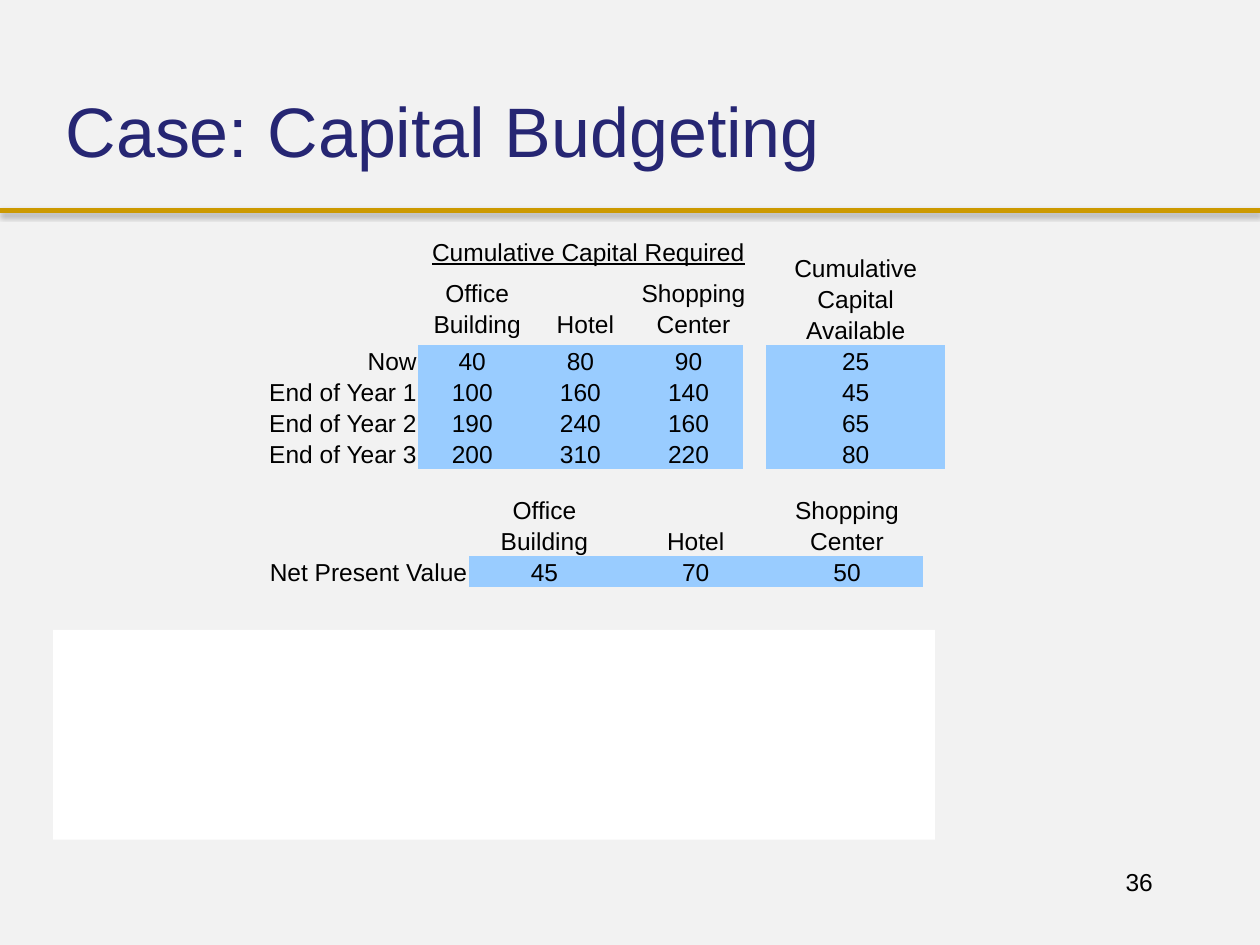
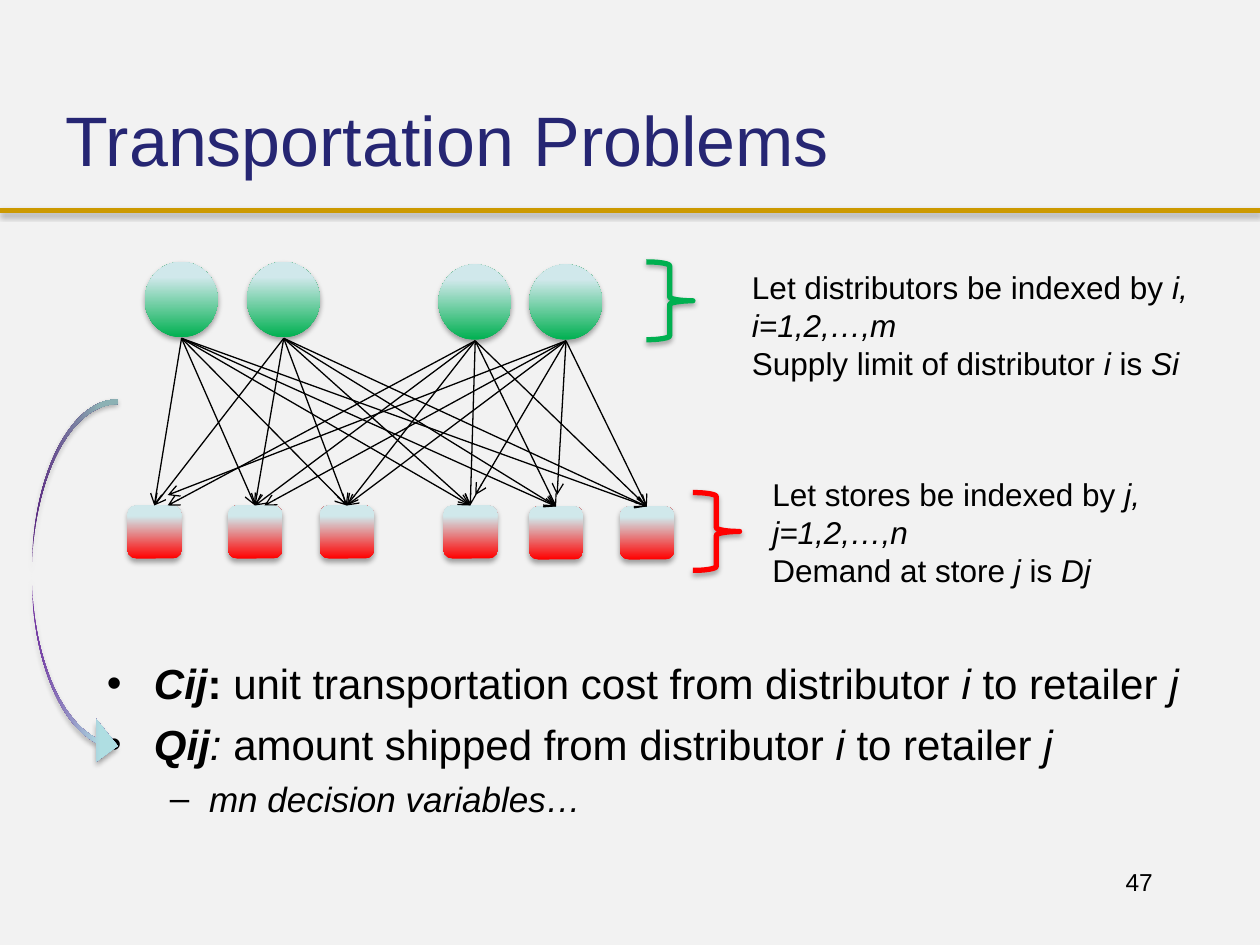
from lxml.etree import SubElement
from pptx import Presentation
from pptx.dml.color import RGBColor
from pptx.enum.shapes import MSO_CONNECTOR, MSO_SHAPE as SHAPE
from pptx.enum.text import MSO_ANCHOR as ANCHOR, PP_ALIGN as ALIGN
from pptx.oxml.ns import qn
from pptx.util import Cm, Pt

FONT = "Arial"
COLORS = {
    "background": "F2F2F2", "title": "262673", "rule": "CC9900",
    "text": "000000", "data": "99CCFF", "panel": "FFFFFF",
    "supply": "00B050", "demand": "FF0000", "flow": "7030A0",
    "pale": "D0E8EB", "palest": "D1EAEC",
    "flow_pale": "AFDEE2", "flow_palest": "AFE0E4",
}
NO_STYLE = "{2D5ABB26-0587-4C30-8999-92F81FD0307C}"


def rgb(name):
    return RGBColor.from_string(COLORS[name])


def box(left, top, width, height):
    return Cm(left), Cm(top), Cm(width), Cm(height)


# Text
def add_run(paragraph, text, size, color="text", style=""):
    """Style letters: b bold, i italic, u underlined."""
    run = paragraph.add_run()
    run.text = text
    font = run.font
    font.name, font.size = FONT, Pt(size)
    font.color.rgb = rgb(color)
    font.bold, font.italic, font.underline = (s in style for s in "biu")


def add_runs(paragraph, runs, size):
    for text, style in runs:
        add_run(paragraph, text, size, style=style)


def add_text(slide, place, lines, size, align=ALIGN.LEFT):
    frame = slide.shapes.add_textbox(*box(*place)).text_frame
    frame.word_wrap = True
    for i, runs in enumerate(lines):
        paragraph = frame.add_paragraph() if i else frame.paragraphs[0]
        paragraph.alignment = align
        add_runs(paragraph, runs, size)


def set_bullet(paragraph, char, indent, hanging):
    props = paragraph._p.get_or_add_pPr()
    props.set("marL", str(Cm(indent)))
    props.set("indent", str(-Cm(hanging)))
    SubElement(props, qn("a:buFont"), typeface=FONT)
    SubElement(props, qn("a:buChar"), char=char)


# Lines and shapes
def add_shadow(effects):
    shadow = SubElement(effects, qn("a:outerShdw"), blurRad=str(Pt(3.1)),
                        dist=str(Pt(1.8)), dir="5400000", rotWithShape="0")
    color = SubElement(shadow, qn("a:srgbClr"), val=COLORS["text"])
    SubElement(color, qn("a:alpha"), val="35000")


def add_line(slide, start, end, color, width):
    line = slide.shapes.add_connector(
        MSO_CONNECTOR.STRAIGHT, *map(Cm, start), *map(Cm, end))
    line.line.color.rgb = rgb(color)
    line.line.width = Pt(width)
    props = line._element.spPr
    return props, SubElement(props, qn("a:effectLst"))


def add_arrow(slide, start, end):
    props, _ = add_line(slide, start, end, "text", 0.75)
    SubElement(props.find(qn("a:ln")), qn("a:tailEnd"), type="arrow")


def add_shape(slide, kind, place, shadow=True):
    shape = slide.shapes.add_shape(kind, *box(*place))
    shape.line.fill.background()
    shape.shadow.inherit = False
    if shadow:
        add_shadow(shape._element.spPr.find(qn("a:effectLst")))
    return shape


def fill_gradient(shape, names, angle=90):
    shape.fill.gradient()
    shape.fill.gradient_angle = angle
    stops = shape._element.spPr.find(".//" + qn("a:gsLst"))
    stops.clear()
    for position, name in zip((0, 80000, 100000), names):
        stop = SubElement(stops, qn("a:gs"), pos=str(position))
        SubElement(stop, qn("a:srgbClr"), val=COLORS[name])


def add_node(slide, kind, place, color):
    fill_gradient(add_shape(slide, kind, place), (color, "pale", "palest"))


def add_brace(slide, left, top, color):
    brace = add_shape(slide, SHAPE.RIGHT_BRACE, (left, top, 0.94, 1.57))
    brace.fill.background()
    brace.line.color.rgb = rgb(color)
    brace.line.width = Pt(3)


# Tables: numbers sit on the data colour, labels on none
def add_table(slide, left, top, widths, row_height, rows):
    place = box(left, top, sum(widths), row_height * len(rows))
    frame = slide.shapes.add_table(len(rows), len(widths), *place)
    table = frame.table
    table.first_row = table.horz_banding = False
    table._tbl.tblPr.find(qn("a:tableStyleId")).text = NO_STYLE
    for column, width in zip(table.columns, widths):
        column.width = Cm(width)
    for r, values in enumerate(rows):
        table.rows[r].height = Cm(row_height)
        for c, value in enumerate(values):
            fill_cell(table.cell(r, c), value, c == 0 and len(values) == 4)


def fill_cell(cell, value, is_row_label):
    cell.margin_left = cell.margin_right = cell.margin_top = Cm(0.03)
    cell.margin_bottom = 0
    cell.vertical_anchor = ANCHOR.BOTTOM
    paragraph = cell.text_frame.paragraphs[0]
    paragraph.alignment = ALIGN.RIGHT if is_row_label else ALIGN.CENTER
    if value == "":
        SubElement(paragraph._p, qn("a:endParaRPr"), sz="1400")
    else:
        add_run(paragraph, str(value), 14)
    if isinstance(value, int):
        cell.fill.solid()
        cell.fill.fore_color.rgb = rgb("data")
    else:
        cell.fill.background()


# Shared frame of each slide: rule, title, number
def start_slide(prs, layout, title, title_top, number):
    slide = prs.slides.add_slide(prs.slide_layouts[layout])
    _, effects = add_line(slide, (0, 4.24), (25.4, 4.24), "rule", 3)
    add_shadow(effects)
    heading = slide.shapes.title
    heading.left, heading.top, heading.width, heading.height = box(
        1.07, title_top, 23.29, 3.18)
    frame = heading.text_frame
    frame.vertical_anchor = ANCHOR.TOP
    frame.margin_top = Cm(0.25)
    frame.paragraphs[0].alignment = ALIGN.LEFT
    add_run(frame.paragraphs[0], title, 40, "title")
    add_text(slide, (18.21, 17.35, 5.28, 1.27), [[(number, "")]], 14, ALIGN.RIGHT)
    return slide


def build_budgeting(prs):
    slide = start_slide(prs, 5, "Case: Capital Budgeting", 1.52, "36")
    projects = [["Office", "", "Shopping"], ["Building", "Hotel", "Center"]]

    # Capital required
    add_text(slide, (8.46, 4.65, 7.19, 0.86),
             [[("Cumulative Capital Required", "u")]], 14)
    add_table(slide, 8.53, 5.59, [2.18] * 3, 0.58, projects)
    add_table(slide, 5.28, 6.96, [3.15] + [2.18] * 3, 0.58, [
        ["Now", 40, 80, 90],
        ["End of Year 1", 100, 160, 140],
        ["End of Year 2", 190, 240, 160],
        ["End of Year 3", 200, 310, 220],
    ])

    # Capital available
    available = ["Cumulative", "Capital", "Available", 25, 45, 65, 80]
    add_table(slide, 15.45, 5.08, [3.6], 0.58, [[item] for item in available])

    # Net present value
    add_table(slide, 5.08, 9.96, [4.37] + [3.05] * 3, 0.62,
              [[""] + names for names in projects]
              + [["Net Present Value", 45, 70, 50]])

    # Blank panel
    panel = add_shape(slide, SHAPE.RECTANGLE, (1.07, 12.7, 17.78, 4.23), False)
    panel.fill.solid()
    panel.fill.fore_color.rgb = rgb("panel")


def add_definitions(slide):
    body = slide.placeholders[1]
    body.left, body.top, body.width, body.height = box(1.9, 13.13, 23.29, 3.81)
    items = [
        (0, [("Cij", "bi"), (":", "b"),
             (" unit transportation cost from distributor ", ""),
             ("i", "i"), (" to retailer ", ""), ("j", "i")]),
        (0, [("Qij", "bi"), (": ", "i"), ("amount shipped from distributor ", ""),
             ("i", "i"), (" to retailer ", ""), ("j", "i")]),
        (1, [("mn decision variables…", "i")]),
    ]
    levels = [("•", 0.95, 0.95, 24, 6), ("–", 2.06, 0.79, 20, 5)]
    frame = body.text_frame
    for i, (level, runs) in enumerate(items):
        char, indent, hanging, size, space = levels[level]
        paragraph = frame.add_paragraph() if i else frame.paragraphs[0]
        paragraph.level = level
        paragraph.space_before = Pt(space)
        set_bullet(paragraph, char, indent, hanging)
        add_runs(paragraph, runs, size)


def add_network(slide):
    distributors = [(2.92, 5.28), (4.98, 5.28), (8.84, 5.33), (10.67, 5.33)]
    stores = [(2.57, 10.19), (4.6, 10.19), (6.45, 10.19),
              (8.94, 10.19), (10.67, 10.21), (12.5, 10.21)]
    # Arrow ends set apart from the middle of the store: (distributor, store)
    shifted_ends = {(2, 0): (3.38, 10.19), (3, 0): (3.38, 9.98),
                    (3, 1): (5.33, 10.19), (3, 3): (9.58, 9.98),
                    (3, 4): (11.23, 9.98)}
    for left, top in stores:
        add_node(slide, SHAPE.ROUNDED_RECTANGLE, (left, top, 1.09, 1.07), "demand")
    for left, top in distributors:
        add_node(slide, SHAPE.OVAL, (left, top, 1.47, 1.52), "supply")
    for d, (d_left, d_top) in enumerate(distributors):
        for s, (s_left, s_top) in enumerate(stores):
            end = shifted_ends.get((d, s), (s_left + 0.54, s_top))
            add_arrow(slide, (d_left + 0.74, d_top + 1.54), end)


def build_transportation(prs):
    slide = start_slide(prs, 1, "Transportation Problems", 1.7, "47")
    add_definitions(slide)
    add_network(slide)

    # Index notes
    add_brace(slide, 13.03, 5.28, "supply")
    add_brace(slide, 13.97, 9.93, "demand")
    add_text(slide, (14.91, 5.28, 9.45, 2.57), [
        [("Let distributors be indexed by ", ""), ("i, i=1,2,…,m", "i")],
        [("Supply limit of distributor ", ""), ("i", "i"), (" is ", ""), ("Si", "i")],
    ], 18)
    add_text(slide, (15.32, 9.45, 9.45, 2.57), [
        [("Let stores be indexed by ", ""), ("j, j=1,2,…,n", "i")],
        [("Demand at store ", ""), ("j", "i"), (" is ", ""), ("Dj", "i")],
    ], 18)

    # Arrow from the network to the decision variables
    flow = add_shape(slide, SHAPE.CURVED_RIGHT_ARROW, (0.64, 8.05, 1.73, 7.42))
    for i, value in enumerate((0.055, 0.5, 0.25)):
        flow.adjustments[i] = round(value, 3)
    fill_gradient(flow, ("flow", "flow_pale", "flow_palest"), 0)


def main():
    prs = Presentation()
    prs.slide_width, prs.slide_height = Cm(25.4), Cm(19.05)
    backdrop = prs.slide_master.background.fill
    backdrop.solid()
    backdrop.fore_color.rgb = rgb("background")
    build_budgeting(prs)
    build_transportation(prs)
    prs.save("out.pptx")


if __name__ == "__main__":
    main()
